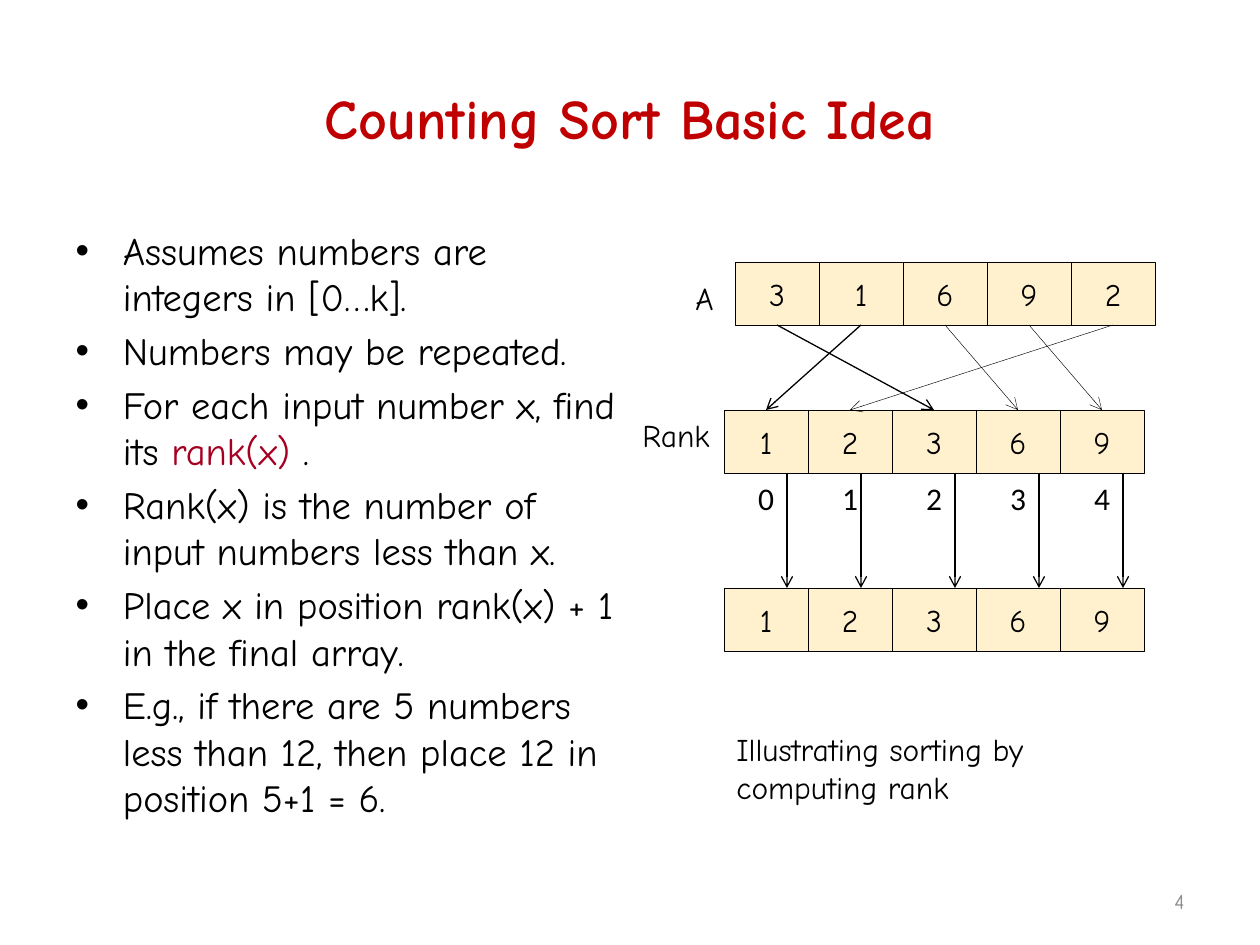
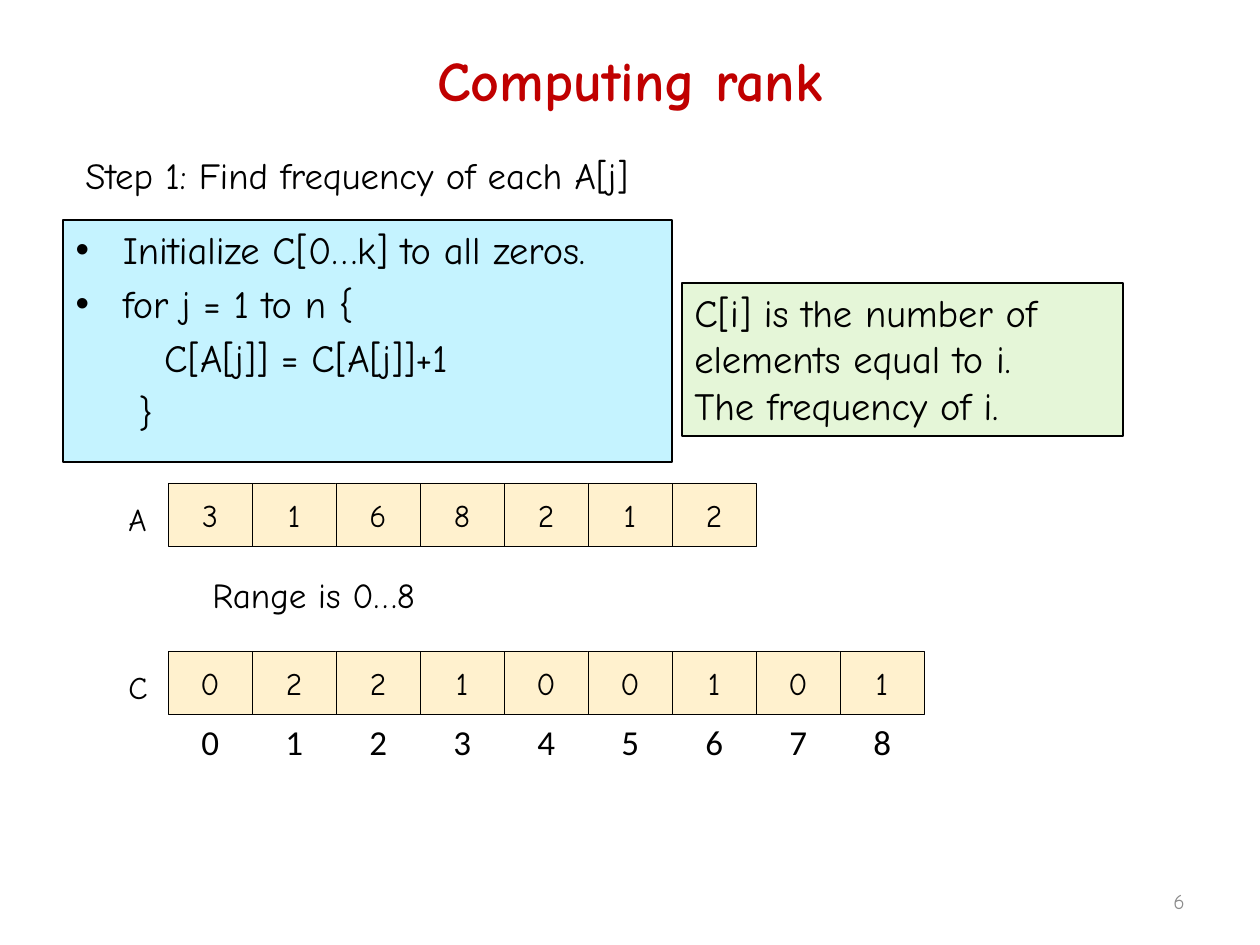
from lxml import etree
from pptx import Presentation
from pptx import util as u
from pptx.dml.color import RGBColor
from pptx.enum import shapes, text
from pptx.oxml.ns import qn

PX = u.Inches(1) / 126
CELL_W, CELL_H = 84, 63
FONT, INDEX_FONT = "Comic Neue", "Calibri"
COLORS = {
    "title": "C00000",
    "ink": "000000",
    "accent": "A50021",
    "number": "8C8C8C",
    "cell": "FFF1CE",
    "code": "C5F3FF",
    "note": "E5F6D8",
}
LEFT, CENTER, RIGHT = text.PP_ALIGN.LEFT, text.PP_ALIGN.CENTER, text.PP_ALIGN.RIGHT


def emu(*lengths):
    return [round(n * PX) for n in lengths]


def rgb(name):
    return RGBColor.from_string(COLORS[name])


def add_run(p, words, size, color="ink", font=FONT, bold=False):
    r = p.add_run()
    r.text = words
    r.font.size = u.Pt(size)
    r.font.name = font
    r.font.bold = bold
    r.font.color.rgb = rgb(color)


def place(sp, box):
    sp.left, sp.top, sp.width, sp.height = emu(*box)


def paint(sp, fill, width):
    sp.fill.solid()
    sp.fill.fore_color.rgb = rgb(fill)
    sp.line.color.rgb = rgb("ink")
    sp.line.width = u.Pt(width)


def add_text(s, box, lines, size, align=LEFT, wrap=True, anchor=text.MSO_ANCHOR.TOP, **style):
    sp = s.shapes.add_textbox(*emu(*box))
    tf = sp.text_frame
    tf.word_wrap = wrap
    tf.vertical_anchor = anchor
    for i, line in enumerate(lines):
        p = tf.paragraphs[0] if i == 0 else tf.add_paragraph()
        p.alignment = align
        add_run(p, line, size, **style)
    return sp


def add_slide(prs, title, title_top, number):
    s = prs.slides.add_slide(prs.slide_layouts[1])
    place(s.shapes.title, (63, title_top, 1134, 158))
    add_run(s.shapes.title.text_frame.paragraphs[0], title, 32, "title", bold=True)
    add_text(s, (903, 876, 294, 50), [number], 12, RIGHT,
             anchor=text.MSO_ANCHOR.MIDDLE, color="number")
    return s


def fill_body(s, box, items):
    sp = s.placeholders[1]
    place(sp, box)
    tf = sp.text_frame
    tf.auto_size = text.MSO_AUTO_SIZE.NONE
    for i, (level, runs) in enumerate(items):
        p = tf.paragraphs[0] if i == 0 else tf.add_paragraph()
        p.level = level
        if level:
            etree.SubElement(p._p.get_or_add_pPr(), qn("a:buNone"))
        for words, color in runs:
            add_run(p, words, 22, color)
    return sp


def add_array(s, x, y, values):
    for i, value in enumerate(values):
        sp = s.shapes.add_shape(shapes.MSO_SHAPE.RECTANGLE,
                                *emu(x + i * CELL_W, y, CELL_W, CELL_H))
        sp.shadow.inherit = False
        paint(sp, "cell", 0.25)
        tf = sp.text_frame
        tf.vertical_anchor = text.MSO_ANCHOR.MIDDLE
        tf.paragraphs[0].alignment = CENTER
        add_run(tf.paragraphs[0], str(value), 18)


def add_array_name(s, x, y, name):
    add_text(s, (x - 52, y + 11, 49, 50), [name], 18)


def add_indices(s, x, y, count, size):
    for i in range(count):
        add_text(s, (x + i * CELL_W + 21, y + CELL_H, 42, 50), [str(i)], size,
                 CENTER, wrap=False, font=INDEX_FONT)


def add_arrow(s, x1, y1, x2, y2, width):
    c = s.shapes.add_connector(shapes.MSO_CONNECTOR.STRAIGHT, *emu(x1, y1, x2, y2))
    c.line.color.rgb = rgb("ink")
    c.line.width = u.Pt(width)
    etree.SubElement(c.line._get_or_add_ln(), qn("a:tailEnd"), type="arrow")
    etree.SubElement(c._element.spPr, qn("a:effectLst"))


def draw_rank_diagram(s, x, y):
    values = [3, 1, 6, 9, 2]
    ranked = sorted(values)
    input_x, rank_y, final_y = x + 11, y + 148, y + 326
    add_array(s, input_x, y, values)
    add_array_name(s, input_x, y, "A")
    add_text(s, (x - 94, rank_y, 96, 50), ["Rank"], 18, wrap=False)
    add_array(s, x, rank_y, ranked)
    add_indices(s, x, rank_y, len(ranked), 18)
    add_array(s, x, final_y, ranked)
    middle = CELL_W // 2
    for i, value in enumerate(values):
        add_arrow(s, input_x + i * CELL_W + middle, y + CELL_H,
                  x + ranked.index(value) * CELL_W + middle, rank_y,
                  0.75 if i < 2 else 0.25)
    for drop in (63, 137, 231, 315, 399):
        add_arrow(s, x + drop, rank_y + CELL_H, x + drop, final_y, 0.75)
    add_text(s, (x, y + 462, 431, 90), ["Illustrating sorting by computing rank"], 18)


def draw_frequency_arrays(s, x, y):
    values = [3, 1, 6, 8, 2, 1, 2]
    counts = [values.count(i) for i in range(max(values) + 1)]
    count_y = y + 168
    add_array(s, x, y, values)
    add_array_name(s, x, y, "A")
    add_text(s, (x + 32, y + 84, 248, 55), ["Range is 0…8"], 20, wrap=False)
    add_array(s, x, count_y, counts)
    add_array_name(s, x, count_y, "C")
    add_indices(s, x, count_y, len(counts), 20)


def build_basic_idea(prs):
    s = add_slide(prs, "Counting Sort Basic Idea", 38, "4")
    fill_body(s, (63, 221, 567, 630), [
        (0, [("Assumes numbers are integers in [0…k].", "ink")]),
        (0, [("Numbers may be repeated.", "ink")]),
        (0, [("For each input number x, find its ", "ink"), ("rank(x) ", "accent"), (".", "ink")]),
        (0, [("Rank(x) is the number of input numbers less than x.", "ink")]),
        (0, [("Place x in position rank(x) + 1 in the final array.", "ink")]),
        (0, [("E.g., if there are 5 numbers less than 12, then place 12 in position 5+1 = 6.", "ink")]),
    ])
    draw_rank_diagram(s, 724, 262)


def build_computing_rank(prs):
    s = add_slide(prs, "Computing rank", 0, "6")
    add_text(s, (73, 147, 639, 57), ["Step 1: Find frequency of each A[j]"], 21, wrap=False)
    code = fill_body(s, (63, 220, 609, 242), [
        (0, [("Initialize C[0…k] to all zeros.", "ink")]),
        (0, [("for j = 1 to n {", "ink")]),
        (1, [("  C[A[j]] = C[A[j]]+1", "ink")]),
        (1, [("}", "ink")]),
    ])
    paint(code, "code", 0.75)
    note = add_text(s, (682, 283, 441, 153),
                    ["C[i] is the number of elements equal to i.", "The frequency of i."], 22)
    paint(note, "note", 0.75)
    draw_frequency_arrays(s, 168, 483)


def main():
    prs = Presentation()
    prs.slide_width, prs.slide_height = emu(1260, 945)
    build_basic_idea(prs)
    build_computing_rank(prs)
    prs.save("out.pptx")


if __name__ == "__main__":
    main()
